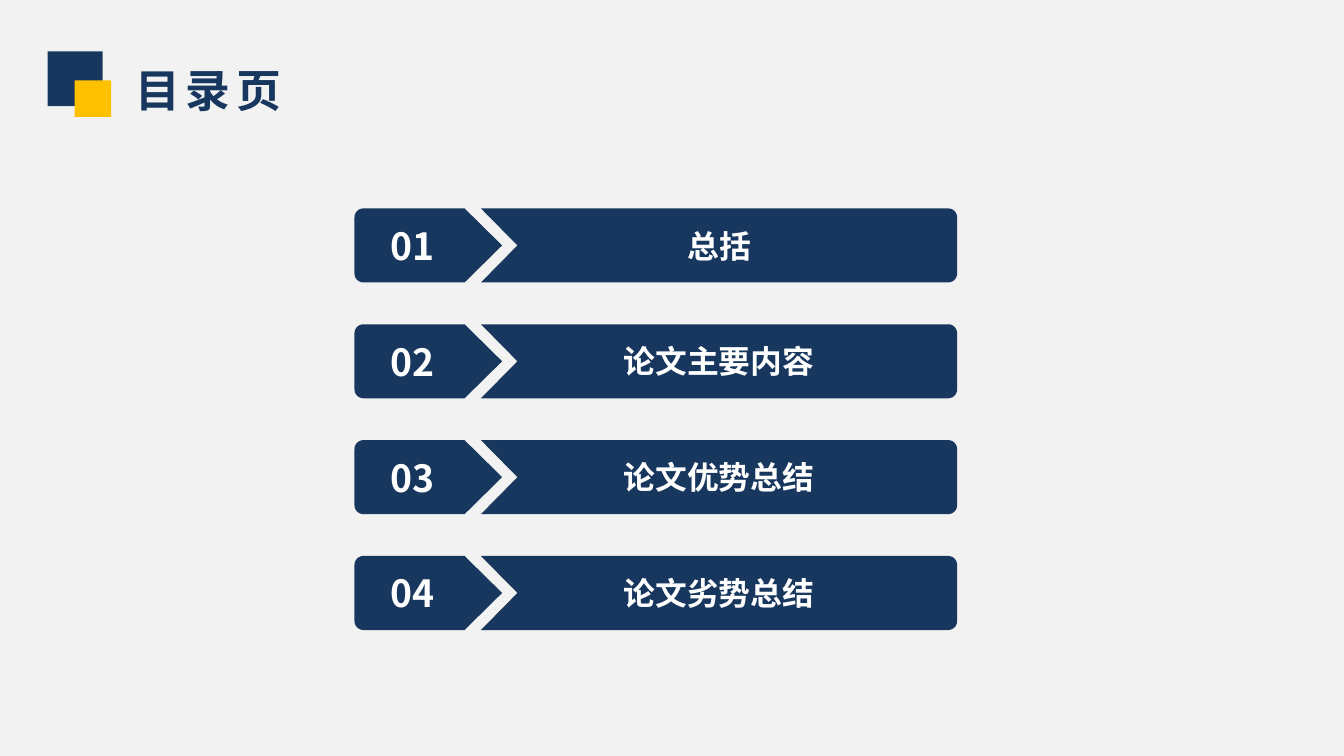
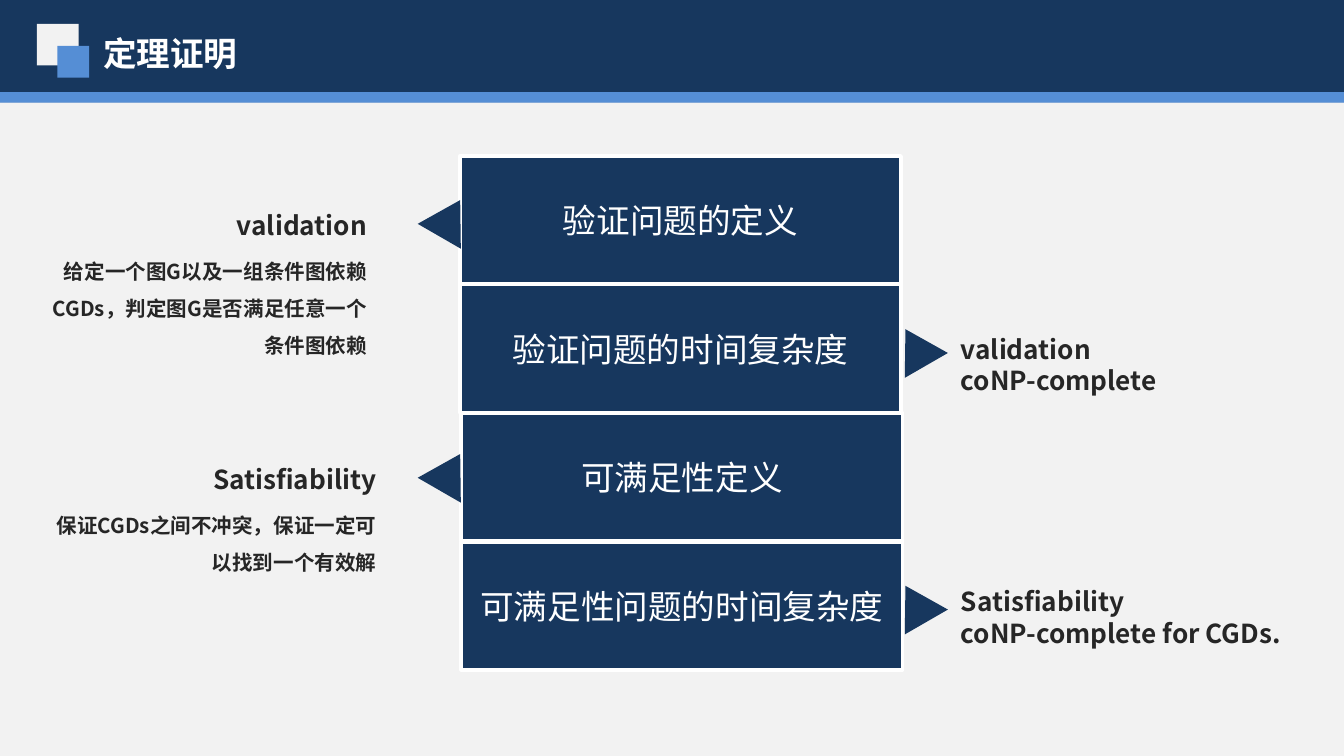
from lxml import etree
from pptx import Presentation
from pptx.dml.color import RGBColor
from pptx.enum.shapes import MSO_SHAPE
from pptx.enum.text import MSO_ANCHOR, MSO_AUTO_SIZE, PP_ALIGN
from pptx.oxml.ns import qn
from pptx.util import Cm, Pt
from math import cos, pi, sin

NAVY = RGBColor(0x17, 0x37, 0x5E)
BLUE = RGBColor(0x55, 0x8E, 0xD5)
GOLD = RGBColor(0xFF, 0xC0, 0x00)
PALE = RGBColor(0xF2, 0xF2, 0xF2)
WHITE = RGBColor(0xFF, 0xFF, 0xFF)
INK = RGBColor(0x26, 0x26, 0x26)
FONT = "Noto Sans CJK SC"

RECTANGLE = MSO_SHAPE.RECTANGLE
TRIANGLE = MSO_SHAPE.ISOSCELES_TRIANGLE
MIDDLE = MSO_ANCHOR.MIDDLE
GROW = MSO_AUTO_SIZE.SHAPE_TO_FIT_TEXT
LEFT, CENTER, RIGHT = PP_ALIGN.LEFT, PP_ALIGN.CENTER, PP_ALIGN.RIGHT

SLIDE_WIDTH, SLIDE_HEIGHT = 25.4, 14.29
CORNER_RADIUS = 0.17

CONTENTS = ["总括", "论文主要内容", "论文优势总结", "论文劣势总结"]

TOPICS = [
    (8.69, "验证问题的定义"),
    (8.69, "验证问题的时间复杂度"),
    (8.72, "可满足性定义"),
    (8.72, "可满足性问题的时间复杂度"),
]
DEFINITIONS = [
    (0.51, 3.73, "validation",
     "给定一个图G以及一组条件图依赖CGDs，判定图G是否满足任意一个条件图依赖"),
    (0.69, 8.53, "Satisfiability",
     "保证CGDs之间不冲突，保证一定可以找到一个有效解"),
]
RESULTS = [
    (6.17, 0, 6.68, "validation", "coNP-complete"),
    (11.02, -0.07, 9.47, "Satisfiability", "coNP-complete for CGDs."),
]


def add_run(paragraph, text, size, color, bold=True, spacing=None):
    """Append a styled run, with the font set for Latin and Chinese."""
    run = paragraph.add_run()
    run.text = text
    run.font.size = Pt(size)
    run.font.bold = bold
    run.font.color.rgb = color
    run.font.name = FONT
    properties = run._r.get_or_add_rPr()
    etree.SubElement(properties, qn("a:ea")).set("typeface", FONT)
    if spacing:
        properties.set("spc", str(spacing * 100))


def paint(shape, fill, line=None):
    """Give a shape a flat fill and an optional outline."""
    shape.shadow.inherit = False
    shape.fill.solid()
    shape.fill.fore_color.rgb = fill
    if line is None:
        shape.line.fill.background()
    else:
        shape.line.color.rgb = line
        shape.line.width = Pt(2)


def add_block(slide, kind, left, top, width, height, fill, line=None):
    """Add a flat preset shape, measured in centimetres."""
    shape = slide.shapes.add_shape(kind, Cm(left), Cm(top), Cm(width), Cm(height))
    paint(shape, fill, line)
    return shape


def add_text_box(slide, left, top, width, height):
    """Add a wrapping text box and return its text frame."""
    box = slide.shapes.add_textbox(Cm(left), Cm(top), Cm(width), Cm(height))
    box.text_frame.word_wrap = True
    return box.text_frame


def center_text(shape, text, size, bold=True):
    """Write one white line in the middle of a shape."""
    frame = shape.text_frame
    frame.word_wrap = True
    frame.vertical_anchor = MIDDLE
    paragraph = frame.paragraphs[0]
    paragraph.alignment = CENTER
    add_run(paragraph, text, size, WHITE, bold)


def add_title(slide, text, left, top, width, height, size, color, spacing=None):
    """Add the slide title."""
    frame = add_text_box(slide, left, top, width, height)
    frame.auto_size = GROW
    add_run(frame.paragraphs[0], text, size, color, spacing=spacing)


def add_emblem(slide, left, top, size, small_size, fill, accent):
    """Add the two overlapping squares beside a title."""
    add_block(slide, RECTANGLE, left, top, size, size, fill)
    add_block(slide, RECTANGLE, left + 0.49 * size, top + 0.53 * size,
              small_size, small_size, accent)


def round_corner(center_x, center_y, start):
    """Return points on a clockwise quarter circle from a start in quarter turns."""
    angles = [(start + step / 6) * pi / 2 for step in range(7)]
    return [(center_x + CORNER_RADIUS * cos(angle),
             center_y + CORNER_RADIUS * sin(angle)) for angle in angles]


def add_outline(slide, left, top, points):
    """Add a navy polygon from points relative to its corner."""
    corners = [(Cm(left + x), Cm(top + y)) for x, y in points]
    builder = slide.shapes.build_freeform(*corners[0])
    builder.add_line_segments(corners[1:], close=True)
    shape = builder.convert_to_shape()
    paint(shape, NAVY)
    frame = shape.text_frame
    frame.margin_left = frame.margin_right = Cm(0.28)
    frame.margin_top = frame.margin_bottom = Cm(0.13)
    return shape


def add_contents_row(slide, left, top, width, height, number, label):
    """Add a numbered arrow tab followed by its notched label bar."""
    inset = CORNER_RADIUS
    middle = height / 2
    tab_width, tab_shoulder, bar_offset = 2.79, 2.08, 2.39
    bar_width = width - bar_offset

    bar = add_outline(slide, left + bar_offset, top, [
        (0, 0),
        *round_corner(bar_width - inset, inset, 3),
        *round_corner(bar_width - inset, height - inset, 0),
        (0, height), (0.69, middle)])
    center_text(bar, label, 17)

    tab = add_outline(slide, left, top, [
        (tab_shoulder, 0), (tab_width, middle), (tab_shoulder, height),
        *round_corner(inset, height - inset, 1),
        *round_corner(inset, inset, 2)])
    tab.text_frame.margin_right = Cm(0.89)
    center_text(tab, f"{number:02d}", 20)


def add_contents_list(slide, left, top, width, pitch):
    """Stack the contents rows at an equal pitch."""
    for index, label in enumerate(CONTENTS):
        add_contents_row(slide, left, top + index * pitch, width, 1.4,
                         index + 1, label)


def add_header_band(slide, title):
    """Add the navy band with its blue edge, title and emblem."""
    add_block(slide, RECTANGLE, 0, 0, SLIDE_WIDTH, 1.93, NAVY)
    add_block(slide, RECTANGLE, 0, 1.74, SLIDE_WIDTH, 0.2, BLUE)
    add_title(slide, title, 1.7, 0.5, 6.4, 1.03, 18, WHITE)
    add_emblem(slide, 0.7, 0.45, 0.79, 0.6, PALE, BLUE)


def add_topic_stack(slide, top, pitch):
    """Stack the four topic boxes."""
    for index, (left, text) in enumerate(TOPICS):
        box = add_block(slide, RECTANGLE, left, top + index * pitch,
                        8.34, 2.42, NAVY, WHITE)
        center_text(box, text, 18, bold=False)


def add_pointer(slide, left, top, rotation):
    """Add a triangle that points away from the stack."""
    pointer = add_block(slide, TRIANGLE, left, top, 0.94, 0.79, NAVY)
    pointer.rotation = rotation


def add_note(slide, left, top, width, heading, body, alignment, body_size=14):
    """Add a heading and its body, and return the body paragraph."""
    frame = add_text_box(slide, left, top, width, 3.02)
    head = frame.paragraphs[0]
    detail = frame.add_paragraph()
    for paragraph, text, size in ((head, heading, 14), (detail, body, body_size)):
        paragraph.alignment = alignment
        add_run(paragraph, text, size, INK)
    return detail


def add_definition(slide, left, top, heading, body):
    """Add a right-aligned definition and its left pointer."""
    add_pointer(slide, 8.03, top, 30)
    detail = add_note(slide, left, top + 0.11, 6.68, heading, body, RIGHT, 11)
    detail.line_spacing = 1.5
    detail.space_before = Pt(3)


def add_result(slide, top, shift, width, heading, body):
    """Add a complexity result and its right pointer."""
    add_pointer(slide, 16.84, top, 330)
    add_note(slide, 17.91, top + shift, width, heading, body, LEFT)


def add_slide(presentation):
    """Add a blank slide with the pale background."""
    slide = presentation.slides.add_slide(presentation.slide_layouts[6])
    slide.background.fill.solid()
    slide.background.fill.fore_color.rgb = PALE
    return slide


def build_contents_slide(presentation):
    """Build the table of contents."""
    slide = add_slide(presentation)
    add_contents_list(slide, 6.7, 3.94, 11.39, 2.19)
    add_emblem(slide, 0.9, 0.97, 1.04, 0.69, NAVY, GOLD)
    add_title(slide, "目录页", 2.31, 1.07, 4.39, 1.28, 24, NAVY, spacing=3)


def build_proof_slide(presentation):
    """Build the theorem proof overview."""
    slide = add_slide(presentation)
    add_header_band(slide, "定理证明")
    add_topic_stack(slide, 2.95, 2.43)
    for definition in DEFINITIONS:
        add_definition(slide, *definition)
    for result in RESULTS:
        add_result(slide, *result)


def main():
    """Build and save the presentation."""
    presentation = Presentation()
    presentation.slide_width = Cm(SLIDE_WIDTH)
    presentation.slide_height = Cm(SLIDE_HEIGHT)
    build_contents_slide(presentation)
    build_proof_slide(presentation)
    presentation.save("out.pptx")


if __name__ == "__main__":
    main()
